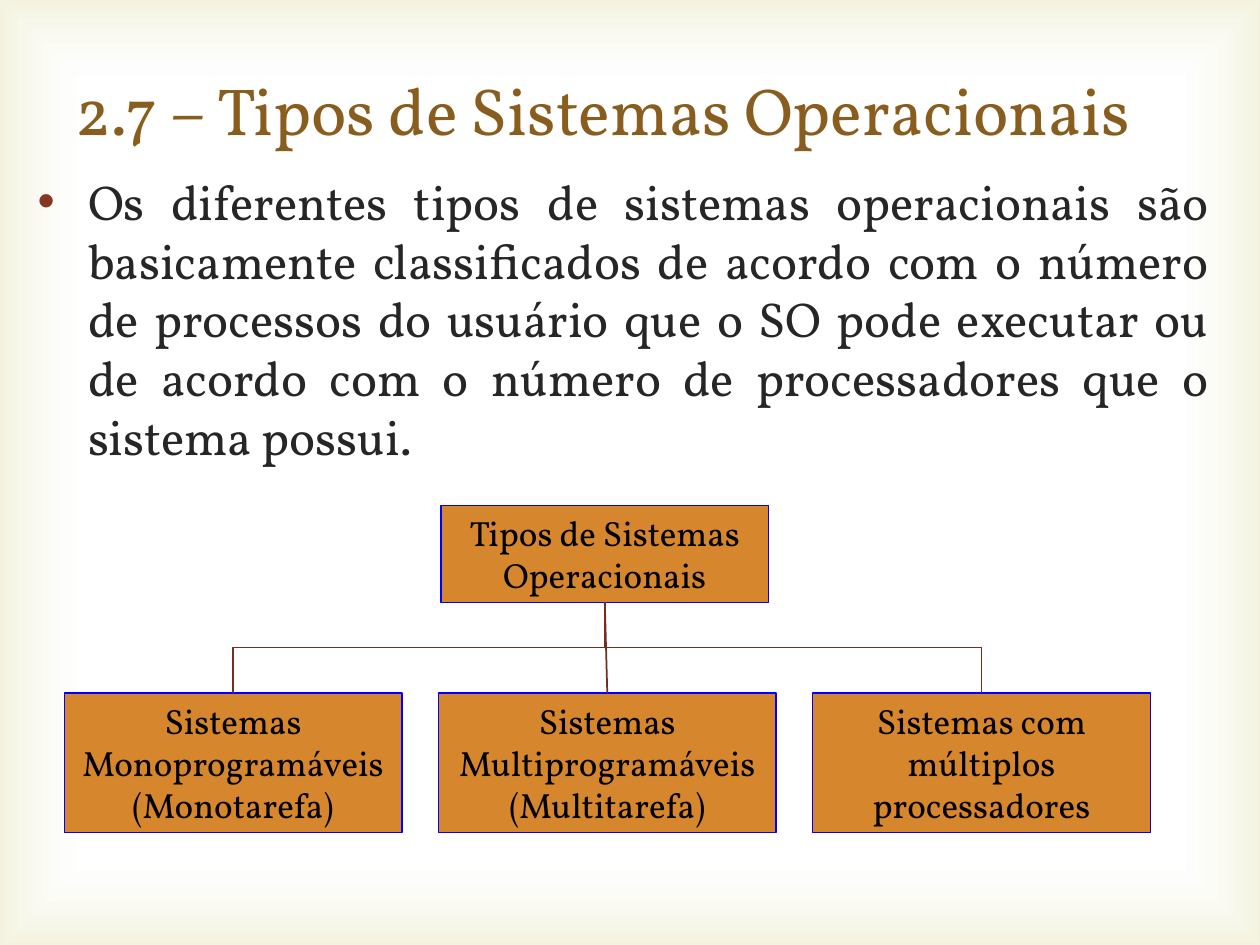
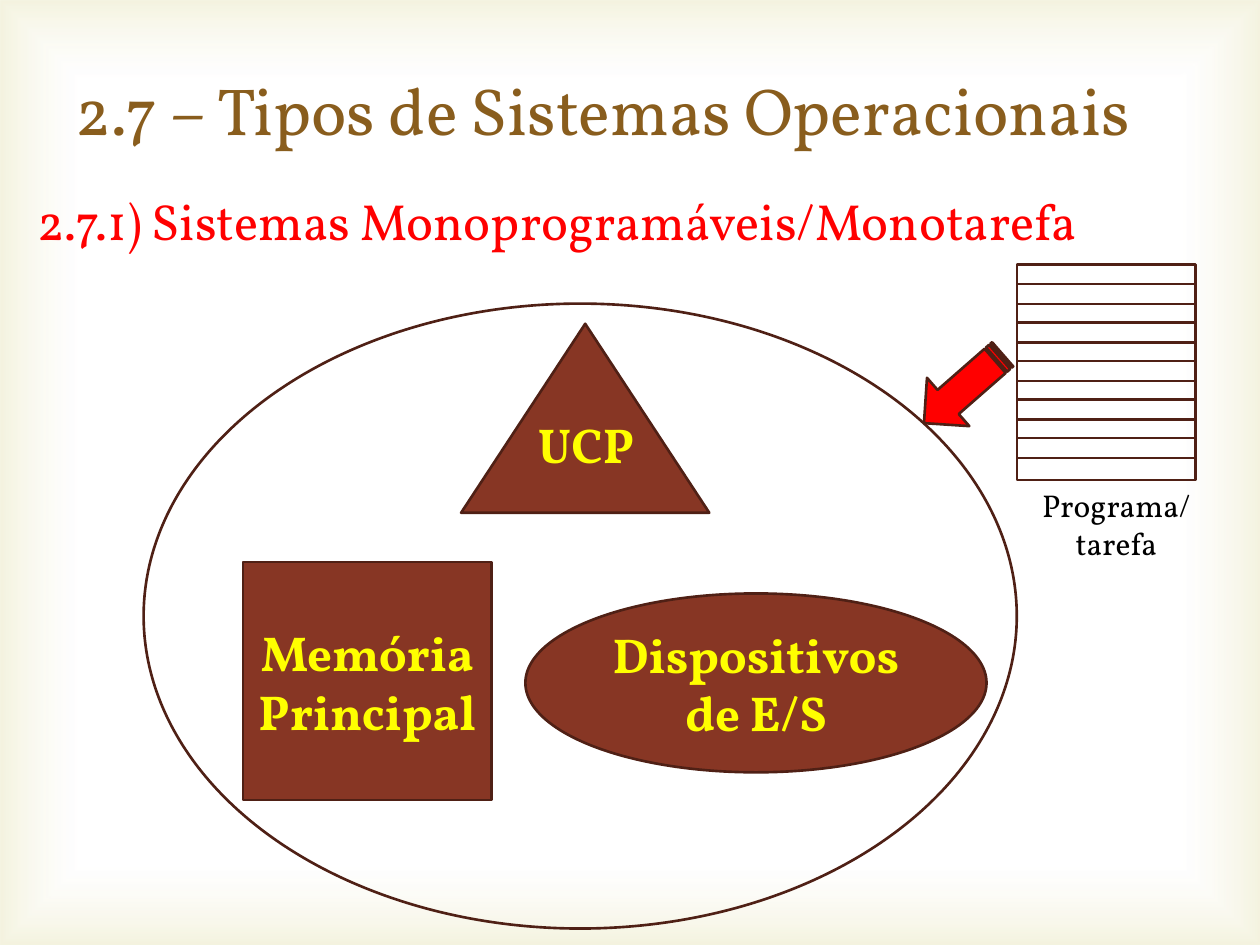
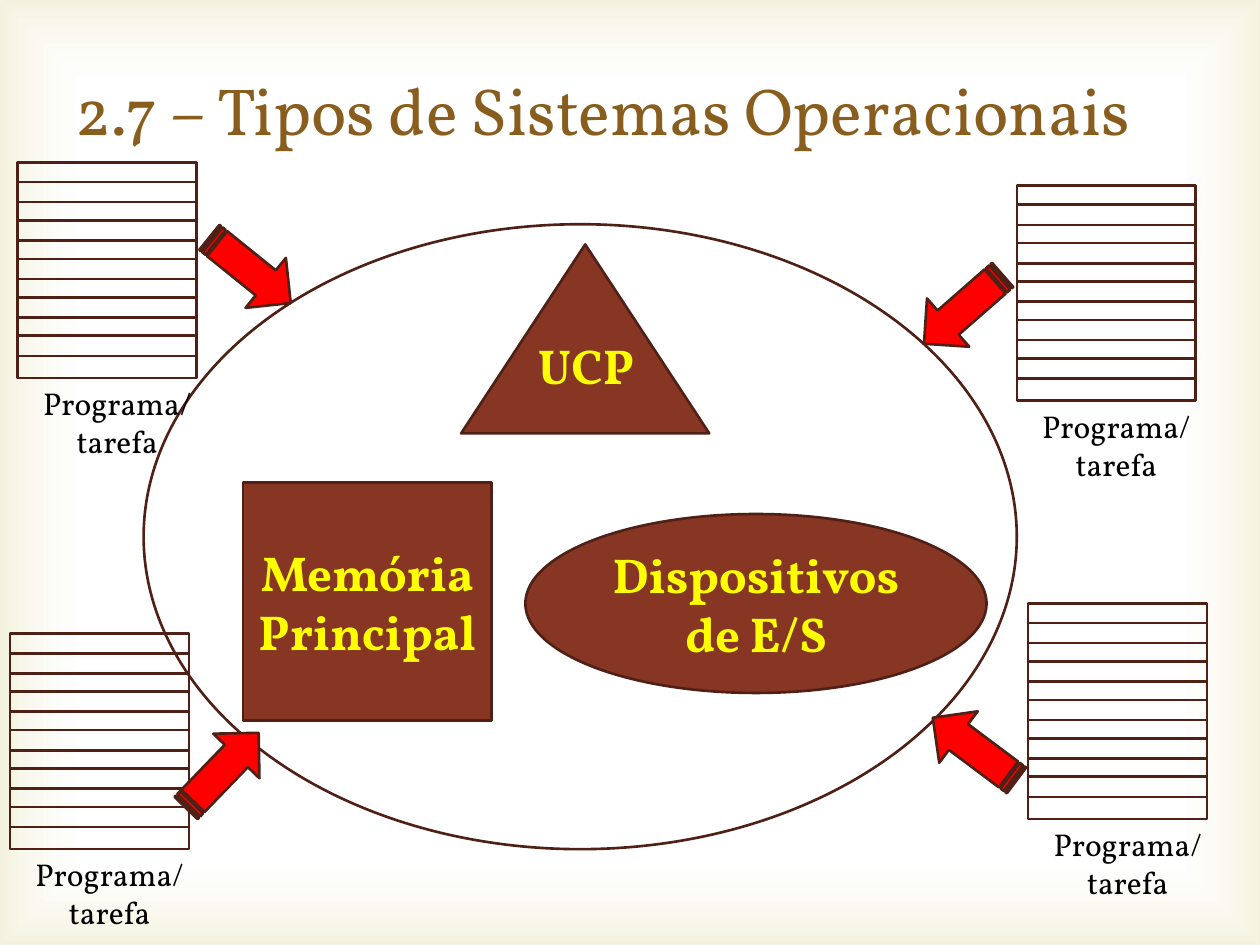
from lxml.etree import SubElement as Sub
from pptx import Presentation
from pptx.dml.color import RGBColor
from pptx.enum.shapes import MSO_CONNECTOR as Link, MSO_SHAPE as Kind
from pptx.enum.text import MSO_ANCHOR as Anchor, MSO_AUTO_SIZE as Fit, PP_ALIGN as Align
from pptx.oxml import parse_xml
from pptx.oxml.ns import qn
from pptx.util import Inches, Pt

COLS, ROWS = 100, 75
WIDE, HIGH = Inches(10), Inches(7.5)
FONT = "Vollkorn"
GOLD, INK, BLACK = "895D1D", "262626", "000000"
RED, YELLOW, BLUE = "FF0000", "FFFF00", "0000FF"
RUST, DARK, WIRE, AMBER = "873624", "4F2015", "742E1F", "D6862D"
TITLE = "2.7 – Tipos de Sistemas Operacionais"
INTRO = (
    "Os diferentes tipos de sistemas operacionais são basicamente classificados "
    "de acordo com o número de processos do usuário que o SO pode executar ou "
    "de acordo com o número de processadores que o sistema possui."
)
TYPES = [
    "Sistemas Monoprogramáveis (Monotarefa)",
    "Sistemas Multiprogramáveis (Multitarefa)",
    "Sistemas com múltiplos processadores",
]
GLOW = """<a:gradFill xmlns:a="http://schemas.openxmlformats.org/drawingml/2006/main" rotWithShape="1">
<a:gsLst>
<a:gs pos="83000"><a:srgbClr val="FFFFFF"><a:alpha val="11000"/></a:srgbClr></a:gs>
<a:gs pos="100000"><a:srgbClr val="D1CA75"><a:alpha val="23000"/></a:srgbClr></a:gs>
</a:gsLst>
<a:path path="rect"><a:fillToRect l="50000" t="50000" r="50000" b="50000"/></a:path>
</a:gradFill>"""


def tint(code):
    return RGBColor.from_string(code)


def grid(x, y, w, h):
    return (
        round(x * WIDE / COLS), round(y * HIGH / ROWS),
        round(w * WIDE / COLS), round(h * HIGH / ROWS),
    )


def write(shape, text, size=28, color=BLACK, bold=False, align=Align.LEFT,
          anchor=Anchor.TOP, wrap=True, before=0):
    frame = shape.text_frame
    frame.text = text
    frame.word_wrap = wrap
    frame.auto_size = Fit.NONE
    frame.vertical_anchor = anchor
    para = frame.paragraphs[0]
    para.alignment = align
    para.space_before = Pt(before)
    font = para.runs[0].font
    font.name, font.size, font.bold = FONT, Pt(size), bold
    font.color.rgb = tint(color)
    return para


def label(slide, box, text, **form):
    return write(slide.shapes.add_textbox(*grid(*box)), text, **form)


def draw(slide, kind, box, fill=None, line=DARK, width=1.5, turn=0):
    shape = slide.shapes.add_shape(kind, *grid(*box))
    shape.shadow.inherit = False
    shape.rotation = turn
    if fill:
        shape.fill.solid()
        shape.fill.fore_color.rgb = tint(fill)
    else:
        shape.fill.background()
    shape.line.color.rgb = tint(line)
    shape.line.width = Pt(width)
    return shape


def glow(deck, slide):
    shape = draw(slide, Kind.RECTANGLE, (0, 0, COLS, ROWS))
    shape.line.fill.background()
    props = shape.element.spPr
    props.replace(props.find(qn("a:noFill")), parse_xml(GLOW))
    deck.slide_master.shapes.element.insert(2, shape.element)


def page(deck):
    slide = deck.slides.add_slide(deck.slide_layouts[5])
    title = slide.shapes.title
    title.left, title.top, title.width, title.height = grid(5, 2.4, 90, 12.5)
    write(title, TITLE, size=38, color=GOLD, anchor=Anchor.MIDDLE)
    return slide


def bullet(para, mark, color, indent):
    props = para._p.get_or_add_pPr()
    props.set("marL", str(indent))
    props.set("indent", str(-indent))
    Sub(Sub(props, qn("a:buClr")), qn("a:srgbClr")).set("val", color)
    Sub(props, qn("a:buFont")).set("typeface", "Arial")
    Sub(props, qn("a:buChar")).set("char", mark)


def wire(slide, kind, x1, y1, x2, y2, turn=0):
    left, top, w, h = grid(x1, y1, x2 - x1, y2 - y1)
    line = slide.shapes.add_connector(kind, left, top, left + w, top + h)
    line.rotation = turn
    line.line.color.rgb = tint(WIRE)
    line.line.width = Pt(1)
    Sub(line.element.spPr, qn("a:effectLst"))


def bend(slide, x1, y1, x2, y2):
    mid, level = (x1 + x2) / 2, (y1 + y2) / 2
    side = 1 if x2 < x1 else -1
    half, reach = side * (y2 - y1) / 2, abs(x2 - x1) / 2
    wire(slide, Link.ELBOW, mid - half, level - reach, mid + half, level + reach,
         90 if side > 0 else 270)


def node(slide, box, text):
    shape = draw(slide, Kind.RECTANGLE, box, AMBER, BLUE, 0.75)
    write(shape, text, size=20, align=Align.CENTER)


def tree(slide, x, y):
    root, drop, leaf, step = 42.9, 7.7, 26.8, 29.7
    low = y + 14.9
    node(slide, (x + root - 13, y, 26, drop), "Tipos de Sistemas Operacionais")
    for i, text in enumerate(TYPES):
        left = x + i * step
        node(slide, (left, low, leaf, 11.1), text)
        ends = (x + root, y + drop, left + leaf / 2, low)
        if i == 1:
            wire(slide, Link.STRAIGHT, *ends)
        else:
            bend(slide, *ends)


def machine(slide, x, y):
    bold = dict(color=YELLOW, bold=True)
    mid = dict(bold, align=Align.CENTER, anchor=Anchor.MIDDLE)
    draw(slide, Kind.ISOSCELES_TRIANGLE, (x + 25.2, y + 1.6, 19.7, 15), RUST)
    label(slide, (x + 30.3, y + 8.3, 10.3, 5.7), "UCP", wrap=False, **bold)
    store = draw(slide, Kind.RECTANGLE, (x + 7.9, y + 20.5, 19.7, 18.9), RUST)
    write(store, "Memória Principal", **mid)
    ports = draw(slide, Kind.OVAL, (x + 30.3, y + 23, 36.6, 14.2), RUST)
    write(ports, "Dispositivos de E/S", **mid)
    draw(slide, Kind.OVAL, (x, y, 69.3, 49.6))


def task(slide, x, y, dx, dy, turn):
    wide, high = 14.2, 17.1
    label(slide, (x, y + high, 15.8, 7.1), "Programa/ tarefa", size=18, align=Align.CENTER)
    draw(slide, Kind.RECTANGLE, (x, y, wide, high))
    for i in range(5):
        draw(slide, Kind.RECTANGLE, (x, y + 1.55 + 3.05 * i, wide, 1.6))
    draw(slide, Kind.STRIPED_RIGHT_ARROW, (x + dx, y + dy, 8.3, 5.1), RED, turn=turn)


def main():
    deck = Presentation()
    deck.slide_width, deck.slide_height = WIDE, HIGH

    kinds = page(deck)
    glow(deck, kinds)
    para = label(kinds, (2, 13.1, 94.9, 16.2), INTRO, color=INK,
                 align=Align.JUSTIFY, before=5.6)
    bullet(para, "•", RUST, Inches(0.4))
    tree(kinds, 5.1, 40.1)

    single = page(deck)
    label(single, (2, 14.6, 94.9, 7.9), "2.7.1) Sistemas Monoprogramáveis/Monotarefa",
          size=29, color=RED)
    machine(single, 11.4, 24.1)
    task(single, 80.7, 21, -8.4, 7.3, 138.8)

    multi = page(deck)
    machine(multi, 11.4, 17.8)
    for spot in [
        (80.7, 14.7, -8.4, 7.3, 138.8),
        (81.6, 47.9, -8.4, 9, 216.8),
        (1.4, 12.9, 14.3, 6, 38.9),
        (0.8, 50.3, 12.7, 8.3, 314),
    ]:
        task(multi, *spot)

    deck.save("out.pptx")


if __name__ == "__main__":
    main()
